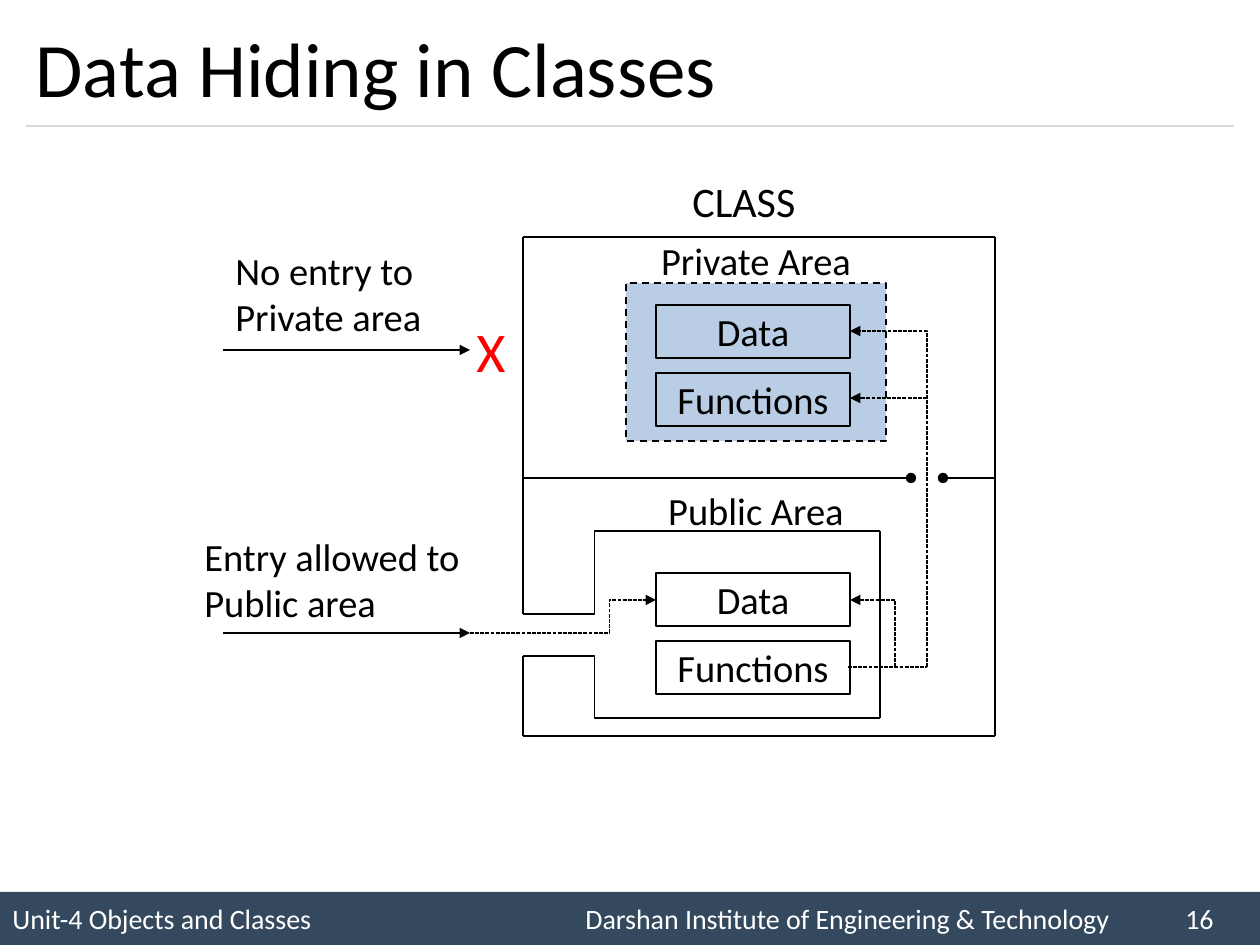
"""Build the "Data Hiding in Classes" slide."""
from lxml import etree
from pptx import Presentation
from pptx import util as u
from pptx.dml.color import RGBColor
from pptx.enum import dml, shapes, text
from pptx.oxml.ns import qn

EMU_PER_PX = 914400 / 126
BLACK = RGBColor(0x00, 0x00, 0x00)
WHITE = RGBColor(0xFF, 0xFF, 0xFF)
RED = RGBColor(0xFF, 0x00, 0x00)
SLATE = RGBColor(0x34, 0x49, 0x5E)
PALE_BLUE = RGBColor(0xB9, 0xCD, 0xE5)
GREY = RGBColor(0xD9, 0xD9, 0xD9)
FONT = "Calibri"
LEFT, CENTER = text.PP_ALIGN.LEFT, text.PP_ALIGN.CENTER
TOP, MIDDLE = text.MSO_ANCHOR.TOP, text.MSO_ANCHOR.MIDDLE
DASH, SYS_DASH = dml.MSO_LINE.DASH, dml.MSO_LINE.SQUARE_DOT


def px(*values):
    return [u.Emu(round(v * EMU_PER_PX)) for v in values]


def put_text(sp, content, size=22, color=BLACK, align=LEFT, anchor=TOP, tabs=()):
    tf = sp.text_frame
    tf.word_wrap = True
    tf.auto_size = text.MSO_AUTO_SIZE.NONE
    tf.vertical_anchor = anchor
    tf.text = content
    for p in tf.paragraphs:
        p.alignment = align
        if tabs:
            tab_list = etree.SubElement(p._p.get_or_add_pPr(), qn("a:tabLst"))
            for stop in px(*tabs):
                etree.SubElement(tab_list, qn("a:tab"), pos=str(stop), algn="l")
        for r in p.runs:
            r.font.name = FONT
            r.font.size = u.Pt(size)
            r.font.color.rgb = color


def add_label(s, box, content, **style):
    put_text(s.shapes.add_textbox(*px(*box)), content, **style)


def add_box(s, box, fill=None, line=BLACK, dash=None):
    sp = s.shapes.add_shape(shapes.MSO_SHAPE.RECTANGLE, *px(*box))
    sp.shadow.inherit = False
    if fill is None:
        sp.fill.background()
    else:
        sp.fill.solid()
        sp.fill.fore_color.rgb = fill
    if line is None:
        sp.line.fill.background()
    else:
        sp.line.color.rgb = line
        sp.line.width = u.Pt(1)
        sp.line.dash_style = dash
    return sp


def add_line(s, points, color=BLACK, dash=None, tail=None, bend=None):
    kind = shapes.MSO_CONNECTOR.STRAIGHT if bend is None else shapes.MSO_CONNECTOR.ELBOW
    c = s.shapes.add_connector(kind, *px(*points))
    c.line.color.rgb = color
    c.line.width = u.Pt(0.75)
    if dash is not None:
        c.line.dash_style = dash
    sp_pr = c._element.spPr
    if bend is not None:
        guides = sp_pr.find(qn("a:prstGeom")).get_or_add_avLst()
        etree.SubElement(guides, qn("a:gd"), name="adj1", fmla=f"val {round(bend * 100000)}")
    if tail:
        etree.SubElement(c.line._get_or_add_ln(), qn("a:tailEnd"), type=tail)
    etree.SubElement(sp_pr, qn("a:effectLst"))


def add_frame(s):
    bar = add_box(s, (0, 892, 1260, 53), fill=SLATE, line=None)
    put_text(bar, "Unit-4 Objects and Classes\tDarshan Institute of Engineering & Technology\t16",
             size=16, color=WHITE, anchor=MIDDLE, tabs=(573, 1173))
    add_line(s, (26, 126, 1234, 126), color=GREY)
    title = s.shapes.title
    title.left, title.top, title.width, title.height = px(23, 11, 1207, 111)
    put_text(title, "Data Hiding in Classes", size=44, anchor=MIDDLE)


def add_members(s, top):
    for row, name in enumerate(("Data", "Functions")):
        sp = add_box(s, (656, top + 68 * row, 194, 53))
        put_text(sp, name, align=CENTER, anchor=MIDDLE)


def add_class_outline(s):
    left, right, top, divider, bottom = 523, 995, 237, 478, 736
    inner_right, inner_top, inner_bottom = 880, 531, 718
    gate_top, gate_bottom = 614, 656
    for points in ((left, top, right, top), (right, top, right, bottom),
                   (left, bottom, right, bottom), (left, top, left, gate_top),
                   (left, gate_bottom, left, bottom),
                   (inner_right, inner_top, inner_right, inner_bottom)):
        add_line(s, points)
    add_line(s, (left, divider, 911, divider), tail="oval")
    add_line(s, (right, divider, 943, divider), tail="oval")
    add_line(s, (inner_right, inner_top, left, gate_top), bend=0.8)
    add_line(s, (inner_right, inner_bottom, left, gate_bottom), bend=0.8)


def add_access_paths(s):
    for y in (350, 633):
        add_line(s, (223, y, 470, y), tail="triangle")
    add_line(s, (470, 633, 656, 600), dash=SYS_DASH, tail="triangle", bend=0.75)
    add_line(s, (848, 667, 927, 667), dash=SYS_DASH)
    add_line(s, (895, 667, 850, 600), dash=SYS_DASH, tail="triangle", bend=0)
    add_line(s, (927, 667, 850, 331), dash=SYS_DASH, tail="triangle", bend=0)
    add_line(s, (927, 398, 850, 398), dash=SYS_DASH, tail="triangle")


def main():
    prs = Presentation()
    prs.slide_width, prs.slide_height = px(1260, 945)
    s = prs.slides.add_slide(prs.slide_layouts[5])
    add_frame(s)
    add_box(s, (626, 283, 260, 158), fill=PALE_BLUE, dash=DASH)
    add_members(s, 305)
    add_members(s, 573)
    add_label(s, (643, 231, 226, 59), "Private Area", align=CENTER)
    add_label(s, (643, 481, 226, 59), "Public Area", align=CENTER)
    add_class_outline(s)
    add_label(s, (680, 169, 131, 63), "CLASS", size=24)
    add_label(s, (223, 241, 249, 106), "No entry to\nPrivate area")
    add_label(s, (464, 310, 48, 81), "X", size=32, color=RED)
    add_label(s, (192, 527, 281, 106), "Entry allowed to\nPublic area")
    add_access_paths(s)
    prs.save("out.pptx")


if __name__ == "__main__":
    main()
